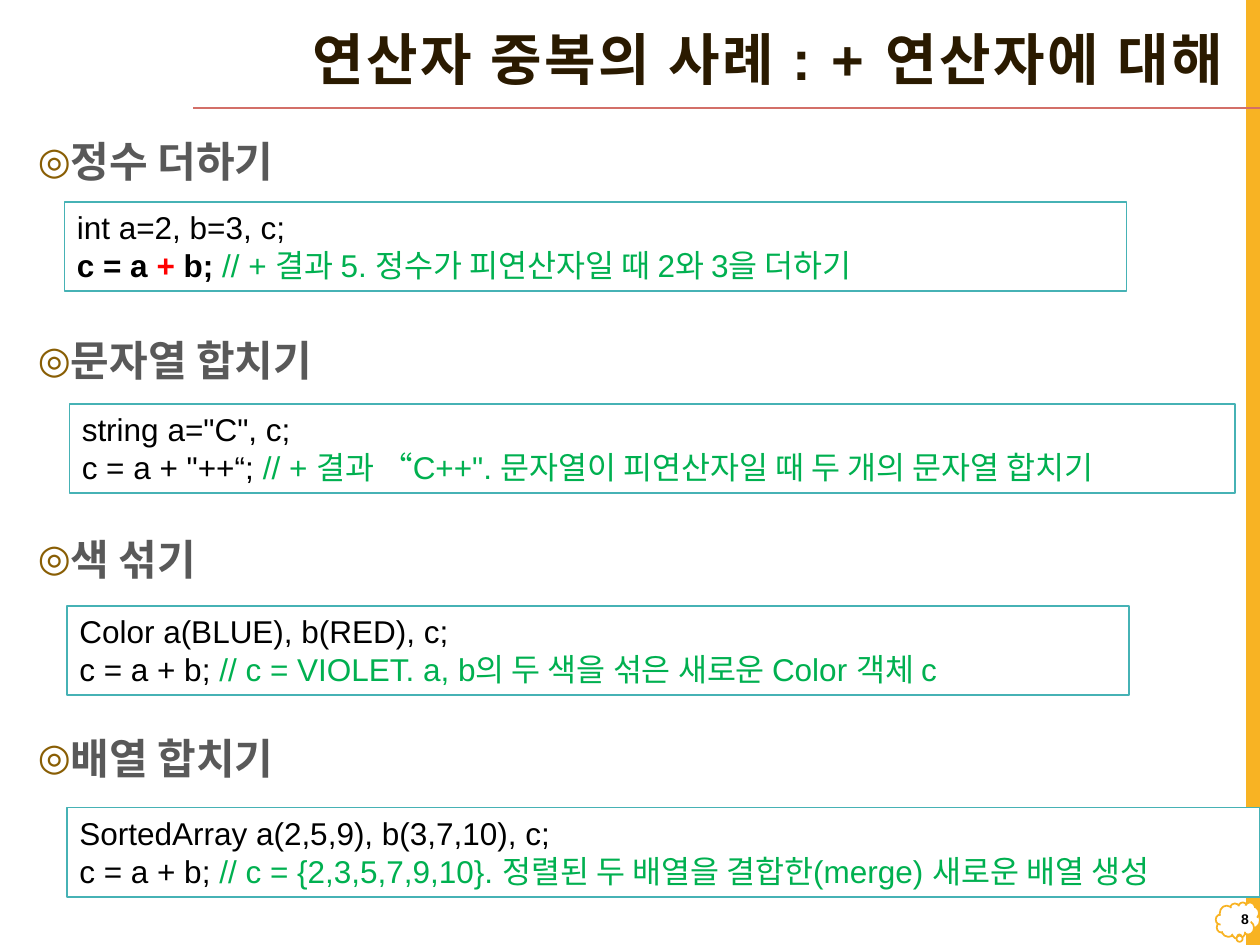
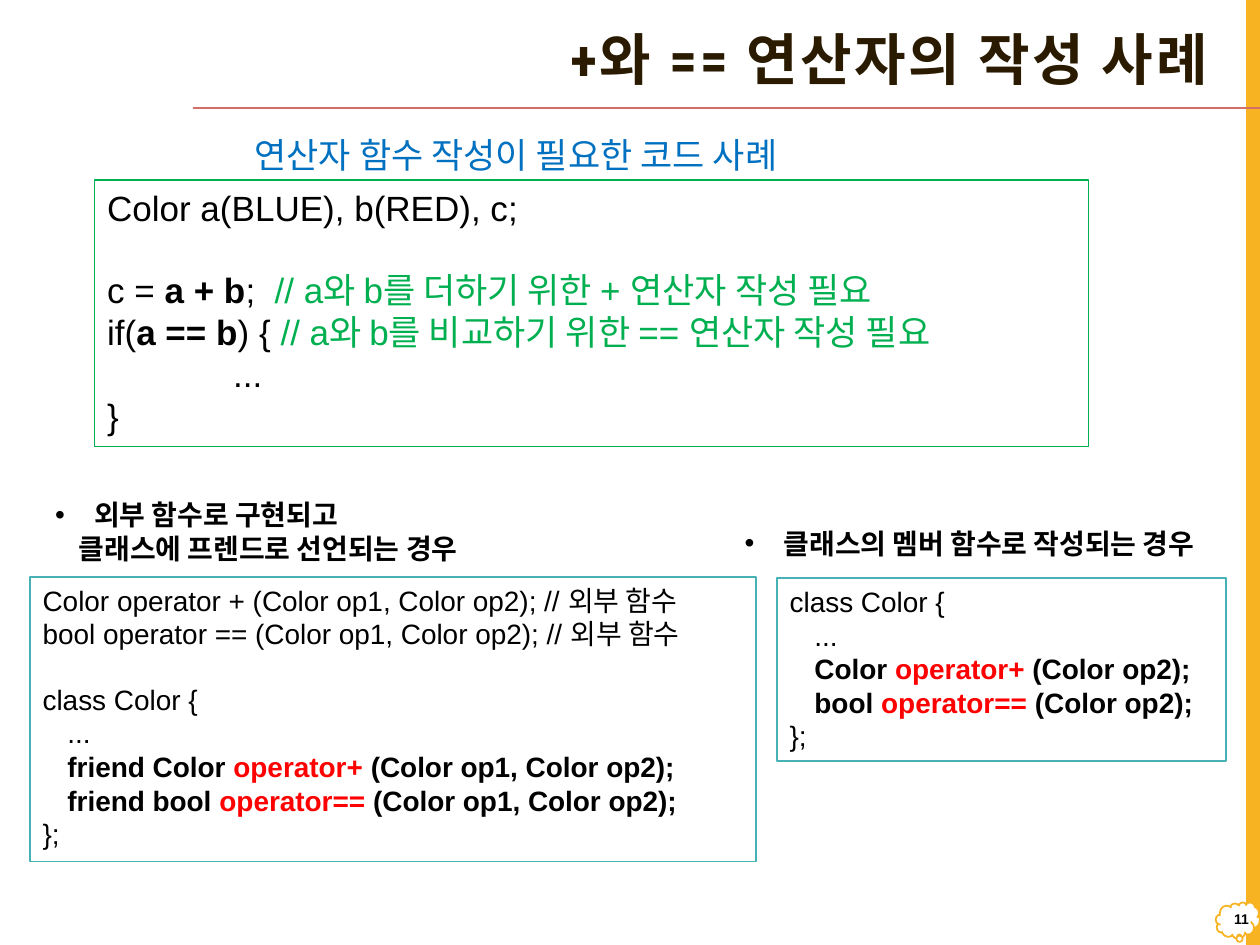
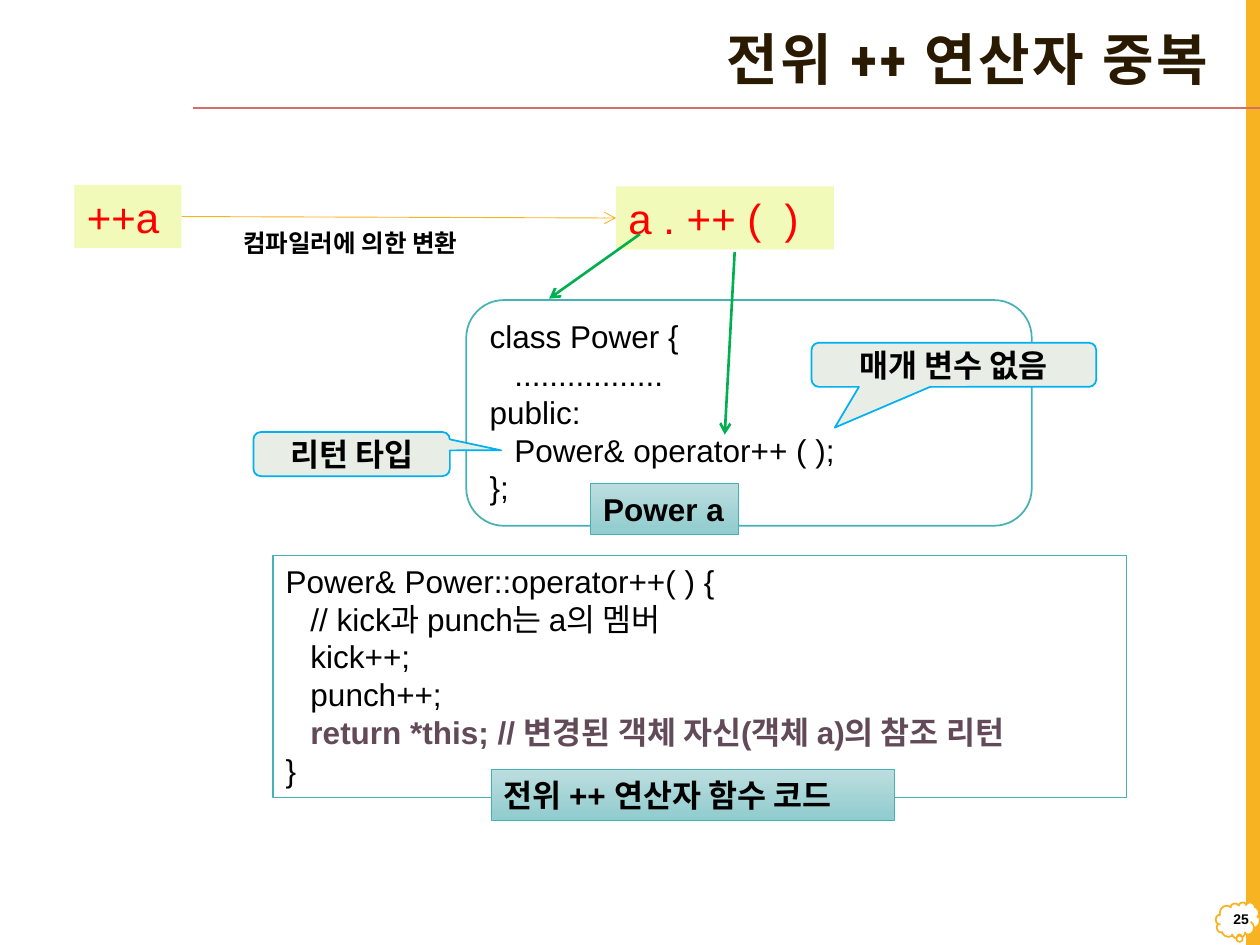
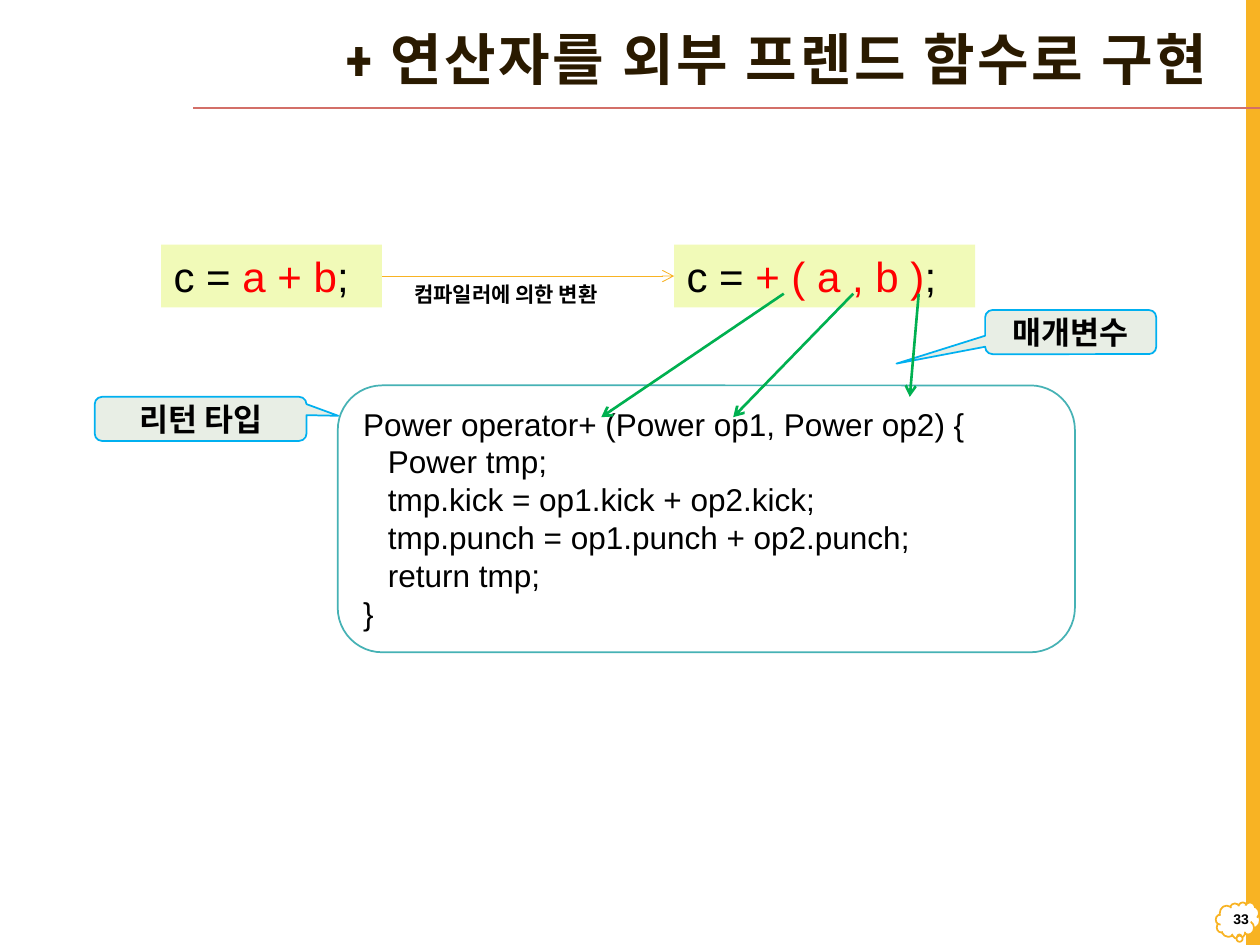
from lxml.etree import SubElement
from pptx import Presentation
from pptx.dml.color import RGBColor
from pptx.enum.shapes import MSO_CONNECTOR as LINK, MSO_SHAPE as PRESET
from pptx.enum.text import MSO_ANCHOR as ANCHOR, MSO_AUTO_SIZE as FIT, PP_ALIGN as ALIGN
from pptx.oxml.ns import qn
from pptx.util import Cm, Pt

BLACK, WHITE, RED, GREEN = "000000", "FFFFFF", "FF0000", "00B050"
TEAL, AMBER, LIME, MIST, SKY = "46B2B5", "F8B323", "F1FAB8", "E8EEE5", "00B0F0"
PLUM, GRAY, BROWN, ROSE = "624A58", "595959", "2A1A00", "D36F68"
rgb = RGBColor.from_string


def box(slide, preset, place, fill=None, line=None, weight=1):
    """Add a preset shape, or a plain text box when preset is None."""
    place = [Cm(length) for length in place]
    if preset is None:
        return slide.shapes.add_textbox(*place)
    shape = slide.shapes.add_shape(preset, *place)
    shape.shadow.inherit = False
    if fill:
        shape.fill.solid()
        shape.fill.fore_color.rgb = rgb(fill)
    else:
        shape.fill.background()
    if line:
        shape.line.color.rgb = rgb(line)
        shape.line.width = Pt(weight)
    else:
        shape.line.fill.background()
    return shape


def write(shape, lines, size, color=BLACK, bold=False, font="Arial",
          align=ALIGN.LEFT, anchor=ANCHOR.TOP, tab=None):
    """Fill a shape; a line is a list of runs: text or (text, colour, bold)."""
    frame = shape.text_frame
    frame.word_wrap = True
    frame.auto_size = FIT.NONE
    frame.vertical_anchor = anchor
    for number, line in enumerate(lines):
        paragraph = frame.add_paragraph() if number else frame.paragraphs[0]
        paragraph.alignment = align
        if tab:
            stops = SubElement(paragraph._p.get_or_add_pPr(), qn("a:tabLst"))
            SubElement(stops, qn("a:tab"), pos=str(Cm(tab)), algn="l")
        for part in line:
            words, run_color, run_bold = (part, color, bold) if isinstance(part, str) else part
            run = paragraph.add_run()
            run.text = words
            run.font.name = font
            run.font.size = Pt(size)
            run.font.bold = run_bold
            run.font.color.rgb = rgb(run_color)
    return frame.paragraphs


prs = Presentation()
prs.slide_width, prs.slide_height = Cm(25.4), Cm(19.05)

# Titles and page numbers
pages = [
    (1, 8, "연산자 중복의 사례 : + 연산자에 대해", "Arial", 3.66),
    (5, 11, "+와 == 연산자의 작성 사례", "Roboto Condensed", 3.35),
    (5, 25, "전위 ++ 연산자 중복", "Roboto Condensed", 3.35),
    (5, 33, "+ 연산자를 외부 프렌드 함수로 구현", "Roboto Condensed", 3.35),
]
for layout, page, heading, font, left in pages:
    slide = prs.slides.add_slide(prs.slide_layouts[layout])
    title = slide.shapes.title
    title.left, title.top, title.width, title.height = Cm(left), Cm(0.33), Cm(21.26), Cm(1.85)
    heading_line = write(title, [[heading]], 32, BROWN, True, font, ALIGN.RIGHT, ANCHOR.MIDDLE)[0]
    heading_line.line_spacing = 0.9
    heading_line.runs[0].font._element.set("spc", "150")
    page_number = box(slide, None, (24.54, 18.08, 0.89, 0.89))
    write(page_number, [[str(page)]], 8, bold=True, align=ALIGN.RIGHT, anchor=ANCHOR.MIDDLE)
cases, samples, prefix, friend = prs.slides

# Shared band, page cloud and title rule, moved to the master
band = box(cases, PRESET.RECTANGLE, (25.12, 0, 0.28, 19.05), AMBER)
cloud = box(cases, PRESET.CLOUD_CALLOUT, (24.51, 18.19, 0.89, 0.74), WHITE, AMBER)
cloud.adjustments[0], cloud.adjustments[1] = 0.034, 0.431
rule = cases.shapes.add_connector(LINK.STRAIGHT, Cm(25.4), Cm(2.18), Cm(3.89), Cm(2.18))
rule.line.color.rgb = rgb(ROSE)
rule.line.width = Pt(1)
SubElement(rule._element.spPr, qn("a:effectLst"))
for number, part in enumerate((band, cloud, rule)):
    part._element.xpath(".//p:cNvPr")[0].set("id", str(101 + number))
    prs.slide_master.shapes._spTree.insert(2 + number, part._element)

# Slide 1: four cases of the + operator
topics = cases.placeholders[1]
topics.left, topics.top, topics.width, topics.height = Cm(0.51), Cm(2.51), Cm(24.21), Cm(16.21)
topic_lines = write(topics, [["정수 더하기"], ["문자열 합치기"], ["색 섞기"], ["배열 합치기"]],
                    24, GRAY, True)
for number, topic in enumerate(topic_lines):
    topic.line_spacing = 1.1
    topic.space_before = Pt(82 if number else 0)

case_codes = [
    (1.3, 21.41, "int a=2, b=3, c;",
     [("c = a ", BLACK, True), ("+ ", RED, True), ("b; ", BLACK, True),
      ("// + 결과 5. 정수가 피연산자일 때 2와 3을 더하기", GREEN, False)]),
    (1.4, 23.5, 'string a="C", c;',
     ['c = a + "++“; ',
      ('// + 결과 “C++". 문자열이 피연산자일 때 두 개의 문자열 합치기', GREEN, False)]),
    (1.35, 21.41, "Color a(BLUE), b(RED), c;",
     ["c = a + b; ", ("// c = VIOLET. a, b의 두 색을 섞은 새로운 Color 객체 c", GREEN, False)]),
    (1.35, 24.05, "SortedArray a(2,5,9), b(3,7,10), c;",
     ["c = a + b; ",
      ("// c = {2,3,5,7,9,10}. 정렬된 두 배열을 결합한(merge) 새로운 배열 생성", GREEN, False)]),
]
for number, (left, width, declaration, addition) in enumerate(case_codes):
    case = box(cases, PRESET.RECTANGLE, (left, 4.07 * (number + 1), width, 1.8), WHITE, TEAL)
    write(case, [[declaration], addition], 18)

# Slide 2: code that needs the operators, and two ways to write them
member = box(samples, PRESET.RECTANGLE, (15.67, 11.66, 9.04, 3.68), WHITE, TEAL)
write(member, [
    ["class Color {"],
    ["\t..."],
    [("\tColor ", BLACK, True), ("operator+", RED, True), (" (Color op2);", BLACK, True)],
    [("\tbool ", BLACK, True), ("operator== ", RED, True), ("(Color op2);", BLACK, True)],
    ["};"],
], 16, tab=0.5)
member_caption = write(box(samples, None, (14.76, 10.49, 10.67, 0.94)),
                       [["클래스의 멤버 함수로 작성되는 경우"]], 16, bold=True)

external = box(samples, PRESET.RECTANGLE, (0.61, 11.63, 14.63, 5.74), WHITE, TEAL)
external_lines = write(external, [
    ["Color operator + (Color op1, Color op2); // 외부 함수"],
    ["bool operator == (Color op1, Color op2); // 외부 함수"],
    ["class Color {"],
    ["\t..."],
    [("\tfriend Color ", BLACK, True), ("operator+ ", RED, True),
     ("(Color op1, Color op2);", BLACK, True)],
    [("\tfriend bool ", BLACK, True), ("operator== ", RED, True),
     ("(Color op1, Color op2);", BLACK, True)],
    ["};"],
], 16, tab=0.5)
external_lines[2].space_before = Pt(18.4)
external_caption = write(box(samples, None, (0.86, 9.91, 9.7, 1.63)),
                         [["외부 함수로 구현되고"], ["클래스에 프렌드로 선언되는 경우"]],
                         16, bold=True)
external_caption[1]._p.get_or_add_pPr().set("marL", str(Cm(0.48)))

usage = box(samples, PRESET.RECTANGLE, (1.91, 3.63, 20.04, 5.38), None, GREEN, 0.75)
usage_lines = write(usage, [
    ["Color a(BLUE), b(RED), c;"],
    ["c = ", ("a + b", BLACK, True), ";  ",
     ("// a와 b를 더하기 위한 + 연산자 작성 필요", GREEN, False)],
    ["if(", ("a == b", BLACK, True), ") { ",
     ("// a와 b를 비교하기 위한 == 연산자 작성 필요", GREEN, False)],
    ["\t..."],
    ["}"],
], 20, tab=2.54)
usage_lines[1].space_before = Pt(23)
write(box(samples, None, (4.88, 2.57, 15.01, 1.12)),
      [["연산자 함수 작성이 필요한 코드 사례"]], 20, "0070C0")

# Bullets of slides 1 and 2
bullets = [(topic, "◎", "895E04", 90, 0.64) for topic in topic_lines]
bullets += [(caption[0], "•", BLACK, 100, 0.79) for caption in (member_caption, external_caption)]
for paragraph, mark, color, percent, indent in bullets:
    props = paragraph._p.get_or_add_pPr()
    props.set("marL", str(Cm(indent)))
    props.set("indent", str(-Cm(indent)))
    SubElement(SubElement(props, qn("a:buClr")), qn("a:srgbClr"), val=color)
    SubElement(props, qn("a:buSzPct"), val=str(percent * 1000))
    SubElement(props, qn("a:buFont"), typeface="Arial")
    SubElement(props, qn("a:buChar"), char=mark)

# Slides 3 and 4: code panels
panels = [
    (prefix, PRESET.ROUNDED_RECTANGLE, (9.4, 6.05, 11.4, 4.55), [
        ["class Power {"], ["\t................."], ["public:"],
        ["\tPower& operator++ ( );"], ["};"]]),
    (prefix, PRESET.RECTANGLE, (5.51, 11.2, 17.2, 4.88), [
        ["Power& Power::operator++( ) {"], ["\t// kick과 punch는 a의 멤버"],
        ["\tkick++;"], ["\tpunch++;"],
        [("\treturn *this; // 변경된 객체 자신(객체 a)의 참조 리턴", PLUM, True)], ["}"]]),
    (friend, PRESET.ROUNDED_RECTANGLE, (6.81, 7.77, 14.86, 5.38), [
        ["Power operator+ (Power op1, Power op2) {"], ["\tPower tmp;"],
        ["\ttmp.kick = op1.kick + op2.kick;"], ["\ttmp.punch = op1.punch + op2.punch;"],
        ["\treturn tmp;"], ["}"]]),
]
for slide, preset, place, code in panels:
    write(box(slide, preset, place, WHITE, TEAL), code, 18, tab=0.5)

# Expressions before and after the compiler's conversion
expressions = [
    (prefix, (1.5, 3.73, 2.16, 1.27), [("++a", RED, False)]),
    (prefix, (12.42, 3.76, 4.39, 1.27), [("a . ++ (  )", RED, False)]),
    (friend, (3.25, 4.93, 4.45, 1.27), ["c = ", ("a + b", RED, False), ";"]),
    (friend, (13.59, 4.93, 6.07, 1.27), ["c = ", ("+ ( a , b )", RED, False), ";"]),
]
terms = []
for slide, place, expression in expressions:
    term = box(slide, PRESET.RECTANGLE, place, LIME)
    write(term, [expression], 24)
    terms.append(term)
for slide, place, size in [(prefix, (4.65, 4.47, 6.4, 0.86), 14),
                           (friend, (8.1, 5.56, 5.23, 0.76), 12)]:
    write(box(slide, None, place), [["컴파일러에 의한 변환"]], size, bold=True)

# Gradient tags on the panels of slide 3
for place, label in [((11.91, 9.75, 2.97, 1.02), "Power a"),
                     ((9.91, 15.52, 8.13, 1.02), "전위 ++ 연산자 함수 코드")]:
    tag = box(prefix, PRESET.RECTANGLE, place, WHITE, TEAL, 0.5)
    tag.fill.gradient()
    tag.fill.gradient_angle = 270
    for stop, color in zip(tag.fill.gradient_stops, ("BCDDDF", "90CCCE")):
        stop.color.rgb = rgb(color)
    tag.text_frame.margin_right = 0
    write(tag, [[label]], 18, bold=True)

# Callouts
callouts = [
    (prefix, (5.11, 8.71, 3.96, 0.89), (0.761, -0.085), "리턴 타입"),
    (prefix, (16.36, 6.91, 5.74, 0.89), (-0.418, 1.422), "매개 변수 없음"),
    (friend, (1.91, 8, 4.27, 0.89), (0.65, -0.069), "리턴 타입"),
    (friend, (19.86, 6.25, 3.45, 0.89), (-1.018, 0.715), "매개변수"),
]
for slide, place, tip, label in callouts:
    callout = box(slide, PRESET.ROUNDED_RECTANGULAR_CALLOUT, place, MIST, SKY)
    callout.adjustments[0], callout.adjustments[1] = tip
    write(callout, [[label]], 18, bold=True, align=ALIGN.CENTER, anchor=ANCHOR.MIDDLE)

# Arrows: conversions join two expressions, the others point into the code
arrows = [
    (prefix, (3.66, 4.37, 12.42, 4.4), AMBER, 0.5, terms[:2]),
    (prefix, (14.81, 5.08, 14.61, 8.76), GREEN, 1.5, None),
    (prefix, (12.9, 4.72, 11.07, 6.02), GREEN, 1.5, None),
    (friend, (7.7, 5.56, 13.59, 5.56), AMBER, 0.5, terms[2:]),
    (friend, (15.8, 5.92, 12.12, 8.41), GREEN, 1.5, None),
    (friend, (17.2, 5.92, 14.78, 8.41), GREEN, 1.5, None),
    (friend, (18.52, 5.92, 18.34, 8), GREEN, 1.5, None),
]
for slide, ends, color, weight, joined in arrows:
    arrow = slide.shapes.add_connector(LINK.STRAIGHT, *[Cm(end) for end in ends])
    if joined:
        arrow.begin_connect(joined[0], 3)
        arrow.end_connect(joined[1], 1)
    arrow.line.color.rgb = rgb(color)
    arrow.line.width = Pt(weight)
    SubElement(arrow.line._get_or_add_ln(), qn("a:tailEnd"), type="arrow")
    SubElement(arrow._element.spPr, qn("a:effectLst"))

prs.save("out.pptx")
